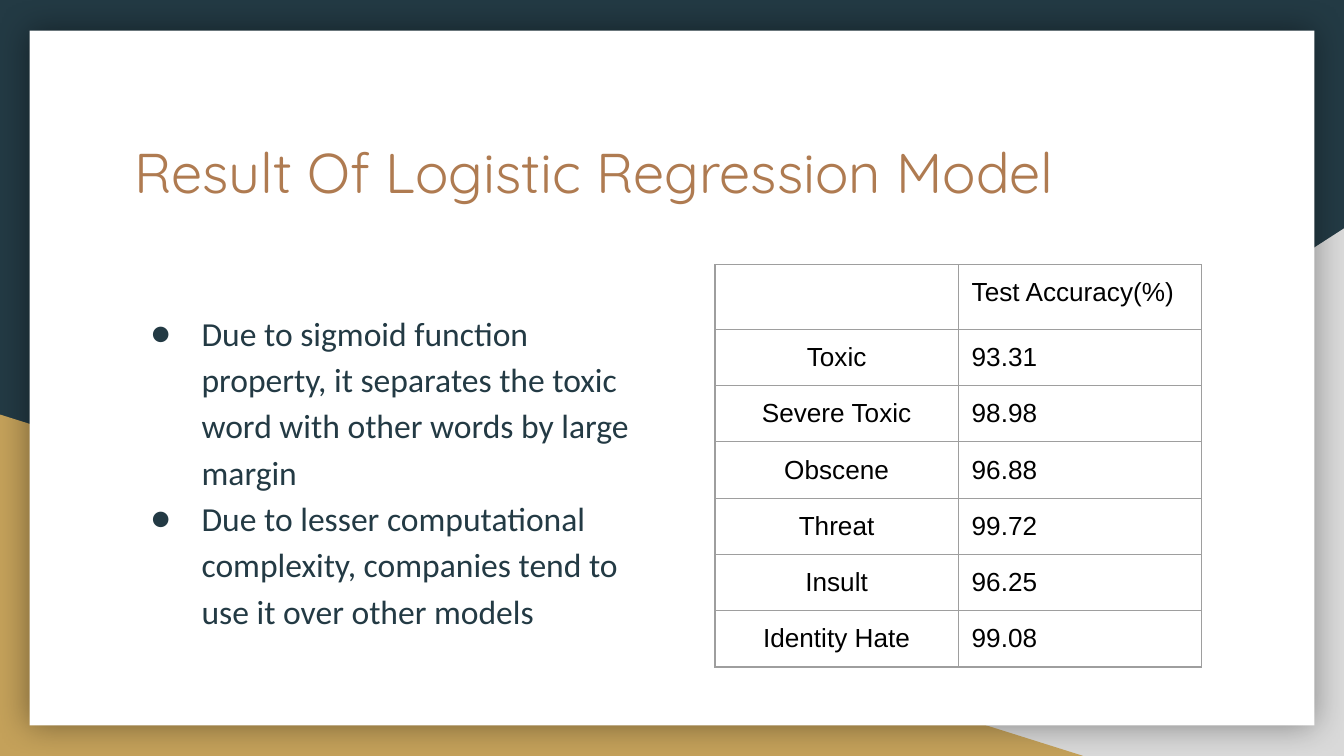
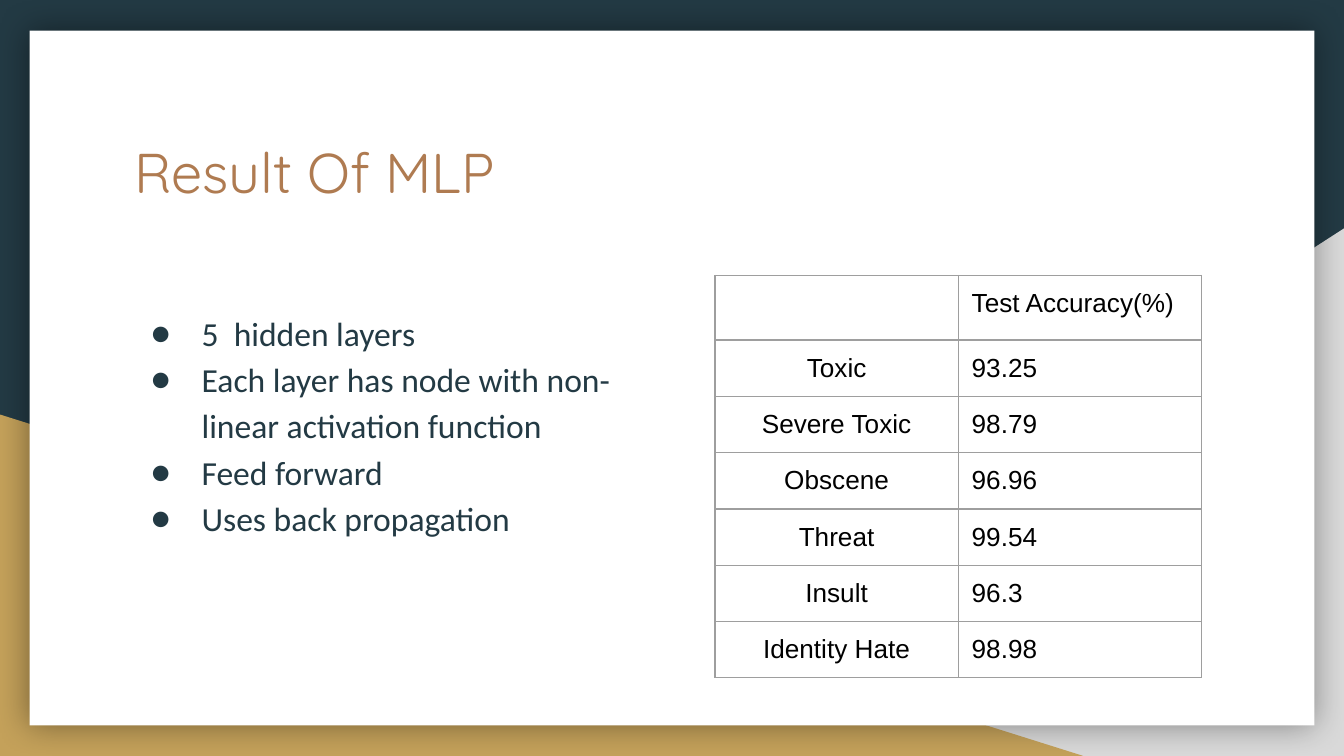
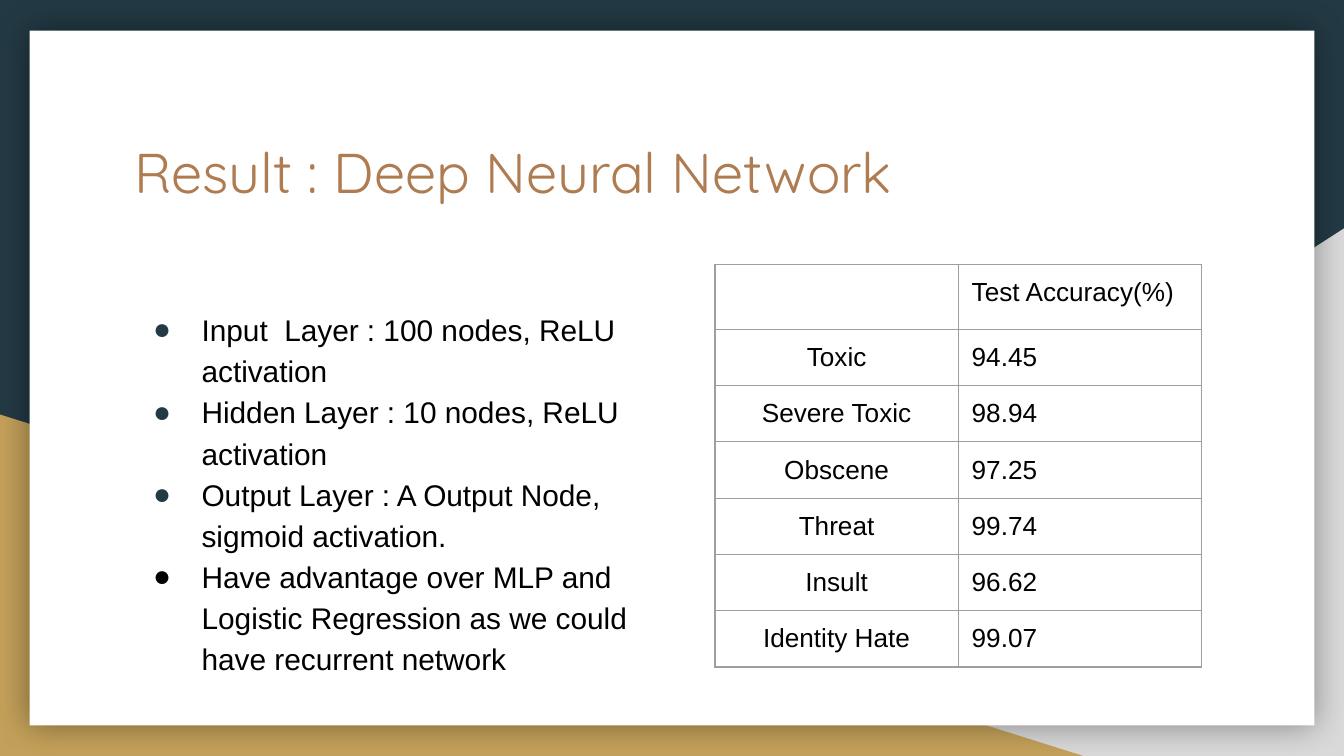
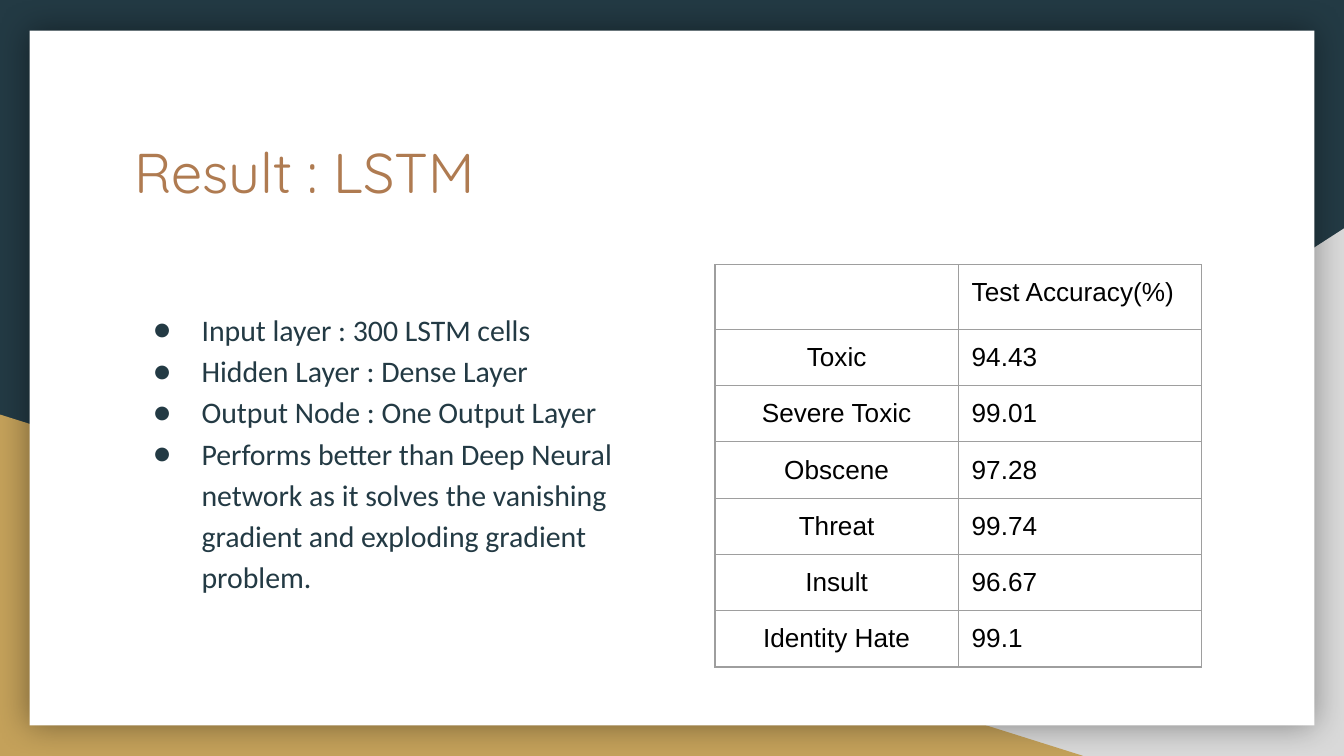
from lxml.etree import SubElement
from pptx import Presentation
from pptx.dml.color import RGBColor
from pptx.enum.shapes import MSO_SHAPE
from pptx.enum.text import MSO_ANCHOR, MSO_AUTO_SIZE, PP_ALIGN
from pptx.oxml import parse_xml
from pptx.oxml.ns import nsdecls, qn
from pptx.util import Emu, Inches, Pt

WIDTH, HEIGHT = Inches(10), Inches(5.625)
NAVY, GOLD, GREY, WHITE = "233A44", "C4A15A", "D9D9D9", "FFFFFF"
COPPER, BLACK, RULE = "AF7B51", "000000", "9E9E9E"
INSET = Inches(0.1)

TITLE_BOX = (9, 16.36, 82.1, 18.49)
BODY_BOX = (9, 38.76, 40.3, 47.64)
TABLE_BOX = (53.2, 35.02, 36.2, 47.5)
LOW_TABLE_BOX = (53.2, 36.44, 36.2, 47.5)

LABELS = ["Toxic", "Severe Toxic", "Obscene", "Threat", "Insult", "Identity Hate"]

RESULTS = [
    dict(
        title="Result Of Logistic Regression Model",
        points=[
            "Due to sigmoid function property, it separates the toxic word "
            "with other words by large margin",
            "Due to lesser computational complexity, companies tend to use it "
            "over other models",
        ],
        scores=["93.31", "98.98", "96.88", "99.72", "96.25", "99.08"],
    ),
    dict(
        title="Result Of MLP",
        points=[
            "5  hidden layers",
            "Each layer has node with non-linear activation function",
            "Feed forward",
            "Uses back propagation",
        ],
        scores=["93.25", "98.79", "96.96", "99.54", "96.3", "98.98"],
        table_box=LOW_TABLE_BOX,
    ),
    dict(
        title="Result : Deep Neural Network",
        points=[
            "Input  Layer : 100 nodes, ReLU activation",
            "Hidden Layer : 10 nodes, ReLU activation",
            "Output Layer : A Output Node, sigmoid activation.",
            "Have advantage over MLP and Logistic Regression as we could "
            "have recurrent network",
        ],
        scores=["94.45", "98.94", "97.25", "99.74", "96.62", "99.07"],
        style=dict(size=16, font="Arial", color=BLACK),
        last_bullet=BLACK,
    ),
    dict(
        title="Result : LSTM",
        points=[
            "Input layer : 300 LSTM cells",
            "Hidden Layer : Dense Layer",
            "Output Node : One Output Layer",
            "Performs better than Deep Neural network as it solves the "
            "vanishing gradient and exploding gradient problem.",
        ],
        scores=["94.43", "99.01", "97.28", "99.74", "96.67", "99.1"],
        style=dict(size=16, font="Calibri", color=NAVY),
    ),
]


def rgb(value):
    """Turn a hex string into a colour."""
    return RGBColor.from_string(value)


def area(x, y, w, h):
    """Convert percentages of the slide to left, top, width and height."""
    return [Emu(round(share * side / 100))
            for share, side in zip((x, y, w, h), (WIDTH, HEIGHT) * 2)]


def write(p, text, size=14, font="Arial", color=BLACK, align=PP_ALIGN.LEFT):
    """Add one formatted run to a paragraph."""
    p.alignment = align
    r = p.add_run()
    r.text = text
    r.font.size, r.font.name = Pt(size), font
    r.font.bold = False
    r.font.color.rgb = rgb(color)


def add_bullet(p, color, font, hanging):
    """Give a paragraph a round bullet with a hanging indent."""
    pPr = p._p.get_or_add_pPr()
    pPr.set("marL", str(Inches(0.5)))
    pPr.set("indent", str(-Inches(hanging)))
    clr = SubElement(pPr, qn("a:buClr"))
    SubElement(clr, qn("a:srgbClr"), val=color)
    SubElement(pPr, qn("a:buFont"), typeface=font)
    SubElement(pPr, qn("a:buChar"), char="●")


def add_panel(s, kind, box, color):
    """Add a plain filled shape without outline or shadow."""
    sp = s.shapes.add_shape(kind, *area(*box))
    sp.shadow.inherit = False
    sp.fill.solid()
    sp.fill.fore_color.rgb = rgb(color)
    sp.line.fill.background()
    return sp


def add_glow(sp):
    """Put a soft shadow all around a shape."""
    effects = sp.element.spPr.find(qn("a:effectLst"))
    effects.append(parse_xml(
        f'<a:outerShdw {nsdecls("a")} blurRad="{Pt(18)}" dist="0" dir="0" '
        f'algn="ctr" rotWithShape="0"><a:srgbClr val="{BLACK}">'
        '<a:alpha val="40000"/></a:srgbClr></a:outerShdw>'))


def decorate_master(master, s):
    """Set the background and move the corner panels and card to the master."""
    master.background.fill.solid()
    master.background.fill.fore_color.rgb = rgb(NAVY)
    right = add_panel(s, MSO_SHAPE.RIGHT_TRIANGLE, (39.2, 30.22, 60.8, 69.78), GREY)
    right.element.spPr.find(qn("a:xfrm")).set("flipH", "1")
    left = add_panel(s, MSO_SHAPE.RIGHT_TRIANGLE, (0, 54.84, 80.6, 45.16), GOLD)
    card = add_panel(s, MSO_SHAPE.RECTANGLE, (2.2, 4.04, 95.6, 91.92), WHITE)
    add_glow(card)
    for i, sp in enumerate((right, left, card), start=2):
        master.shapes.element.insert(i, sp.element)


def place_text(sp, box):
    """Move a placeholder and return its prepared text frame."""
    sp.left, sp.top, sp.width, sp.height = area(*box)
    tf = sp.text_frame
    tf.margin_left = tf.margin_right = tf.margin_top = tf.margin_bottom = INSET
    tf.word_wrap = True
    tf.auto_size = MSO_AUTO_SIZE.NONE
    tf.vertical_anchor = MSO_ANCHOR.TOP
    return tf


def fill_body(sp, box, points, style, last_bullet):
    """Write the bulleted list into the body placeholder."""
    tf = place_text(sp, box)
    hanging = 0.38 if style["size"] == 18 else 0.36
    for i, text in enumerate(points):
        p = tf.add_paragraph() if i else tf.paragraphs[0]
        p.line_spacing = 1.15
        p.space_before = p.space_after = Pt(0)
        color = last_bullet if i == len(points) - 1 else NAVY
        add_bullet(p, color, style["font"], hanging)
        write(p, text, **style)


def format_cell(cell):
    """Clear the fill, set the margins and draw thin borders."""
    cell.margin_left = cell.margin_right = INSET
    cell.margin_top = cell.margin_bottom = INSET
    cell.fill.background()
    tcPr = cell._tc.get_or_add_tcPr()
    for i, side in enumerate("LRTB"):
        tcPr.insert(i, parse_xml(
            f'<a:ln{side} {nsdecls("a")} w="{Pt(0.75)}"><a:solidFill>'
            f'<a:srgbClr val="{RULE}"/></a:solidFill></a:ln{side}>'))


def add_scores(s, box, scores):
    """Add the accuracy table with one row per label."""
    rows = [("", "Test Accuracy(%)"), *zip(LABELS, scores)]
    table = s.shapes.add_table(len(rows), 2, *area(*box)).table
    table.first_row = table.horz_banding = False
    for i, row in enumerate(rows):
        table.rows[i].height = Inches(0.38 if i else 0.39)
        for j, text in enumerate(row):
            cell = table.cell(i, j)
            format_cell(cell)
            write(cell.text_frame.paragraphs[0], text, size=14 if text else 18,
                  align=PP_ALIGN.LEFT if j else PP_ALIGN.CENTER)


def add_result(prs, title, points, scores, table_box=TABLE_BOX,
               style=dict(size=18, font="Calibri", color=NAVY), last_bullet=NAVY):
    """Add a slide with title, bulleted list and accuracy table."""
    s = prs.slides.add_slide(prs.slide_layouts[1])
    tf = place_text(s.shapes.title, TITLE_BOX)
    write(tf.paragraphs[0], title, size=30, font="Quicksand", color=COPPER)
    fill_body(s.placeholders[1], BODY_BOX, points, style, last_bullet)
    add_scores(s, table_box, scores)
    return s


def main():
    """Build the deck."""
    prs = Presentation()
    prs.slide_width, prs.slide_height = WIDTH, HEIGHT
    slides = [add_result(prs, **result) for result in RESULTS]
    decorate_master(prs.slide_master, slides[0])
    prs.save("out.pptx")


if __name__ == "__main__":
    main()
